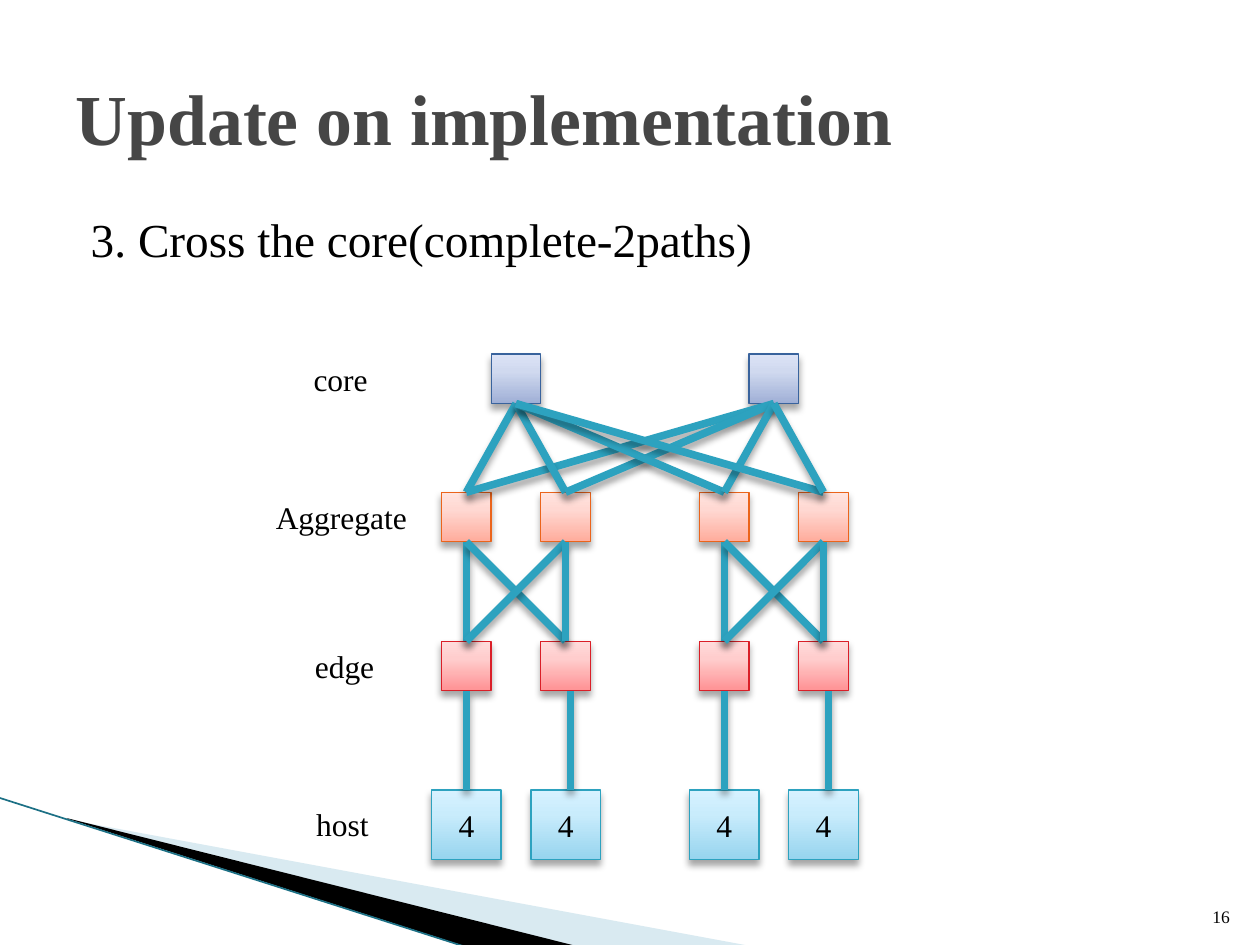
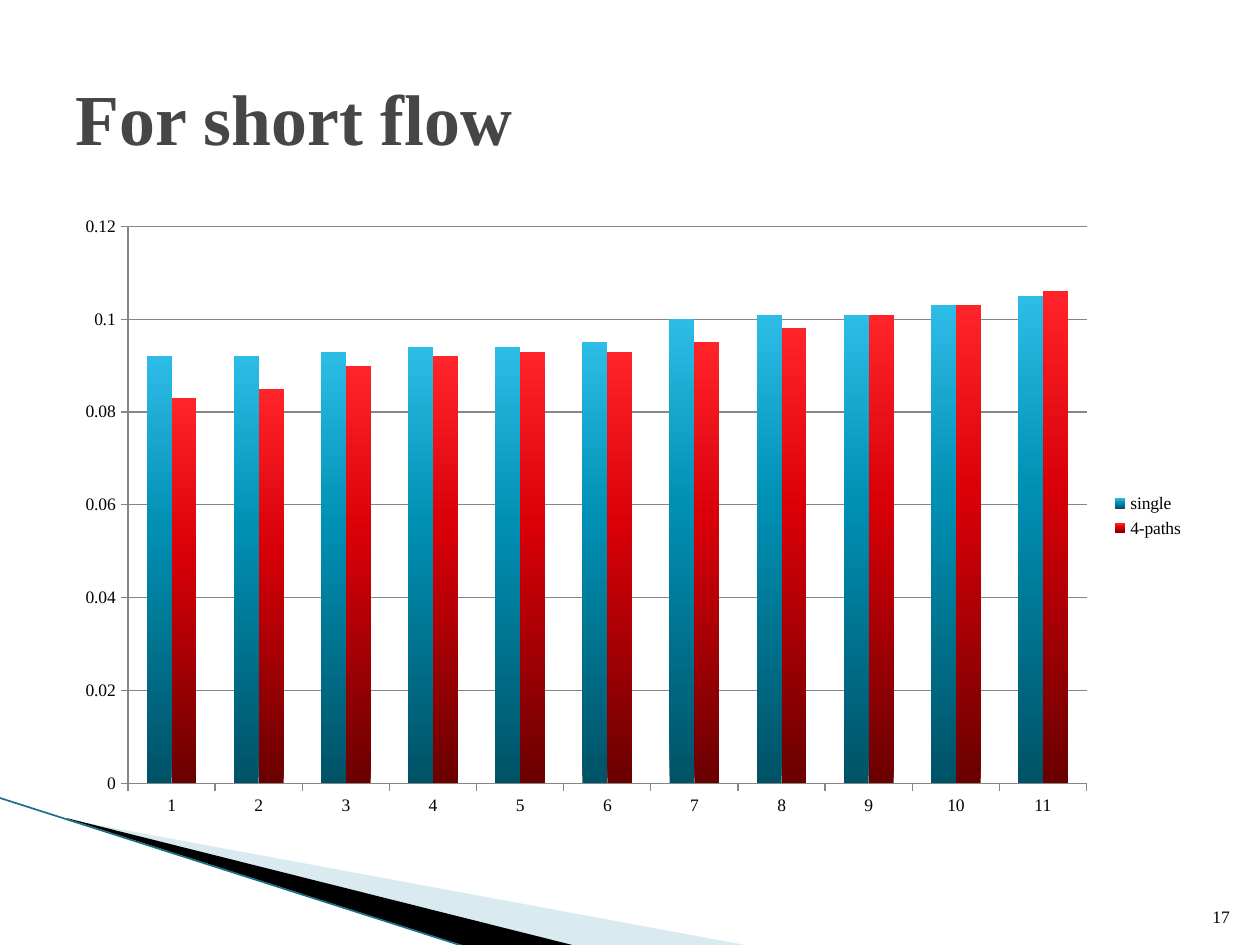
from copy import deepcopy
from itertools import product

from lxml import etree
from pptx import Presentation
from pptx import util as u
from pptx.chart import data as chart_data
from pptx.dml import color
from pptx.enum import chart as chart_enum
from pptx.enum import shapes, text
from pptx.oxml import ns

FONT = "Times New Roman"
BLACK, TITLE_GRAY, GRID_GRAY, TEAL = "000000", "464646", "868686", "2DA2BF"
STRIPE_BLUE, STRIPE_EDGE = "A0CBDC", "1C7085"
STOPS = (0, 0.65, 1)
TITLE_BOX = (36, 21.6, 648, 90)
CONTENT_BOX = (36, 116.64, 648, 356.4)


def rgb(value):
    return color.RGBColor.from_string(value)


def points(*values):
    return [u.Pt(value) for value in values]


def place(shape, box):
    shape.left, shape.top, shape.width, shape.height = points(*box)


def child(parent, tag, **attributes):
    return etree.SubElement(parent, ns.qn(tag), {k: str(v) for k, v in attributes.items()})


def write(shape, content, size=18, ink=BLACK, bold=False, align=text.PP_ALIGN.LEFT,
          anchor=text.MSO_ANCHOR.TOP, wrap=True, fit=text.MSO_AUTO_SIZE.NONE, indent=None):
    frame = shape.text_frame
    frame.text = content
    frame.word_wrap = wrap
    frame.auto_size = fit
    frame.vertical_anchor = anchor
    paragraph = frame.paragraphs[0]
    if indent is not None:
        properties = paragraph._p.get_or_add_pPr()
        properties.set("marL", str(u.Pt(indent)))
        properties.set("indent", "0")
        child(properties, "a:buNone")
    paragraph.alignment = align
    paragraph.space_before = u.Pt(0)
    font = paragraph.runs[0].font
    font.name, font.size, font.bold = FONT, u.Pt(size), bold
    font.color.rgb = rgb(ink)


def shade(fill, colors, positions=STOPS):
    fill.gradient()
    fill.gradient_angle = 90
    first = fill.gradient_stops[0]._gs
    first.addnext(deepcopy(first))
    for stop, position, value in zip(fill.gradient_stops, positions, colors):
        stop.position = position
        stop.color.rgb = rgb(value)


def set_effects(shape, shadow):
    effects = child(shape._element.spPr, "a:effectLst")
    if shadow:
        outer = child(effects, "a:outerShdw", blurRad=u.Pt(4), dist=u.Pt(3),
                      dir=5400000, rotWithShape=0)
        child(child(outer, "a:srgbClr", val=BLACK), "a:alpha", val=35000)


class Deck:
    def __init__(self):
        self.presentation = Presentation()
        self.presentation.slide_width, self.presentation.slide_height = points(720, 540)
        self.slide = None

    def start(self, title, number, layout):
        self.slide = self.presentation.slides.add_slide(self.presentation.slide_layouts[layout])
        place(self.slide.shapes.title, TITLE_BOX)
        write(self.slide.shapes.title, title, size=41, ink=TITLE_GRAY, bold=True,
              anchor=text.MSO_ANCHOR.MIDDLE)
        self.outline([(39.6, 468.5), (428.4, 540.5), (328.3, 540.5), (39.6, 468)], STRIPE_BLUE, 40)
        self.outline([(38.2, 467.5), (329, 540.5), (268, 541.4), (38.9, 468)], BLACK)
        self.line((-0.7, 455.8), (267.1, 541.4), STRIPE_EDGE, 0.95, shadow=False)
        self.text((681.1, 504.7, 28.8, 28.8), str(number), size=10,
                  align=text.PP_ALIGN.RIGHT, anchor=text.MSO_ANCHOR.BOTTOM)

    def body(self, content):
        placeholder = self.slide.placeholders[1]
        place(placeholder, CONTENT_BOX)
        write(placeholder, content, size=27, indent=8.64)

    def text(self, box, content, **style):
        write(self.slide.shapes.add_textbox(*points(*box)), content, **style)

    def label(self, box, content):
        self.text(box, content, wrap=False, fit=text.MSO_AUTO_SIZE.SHAPE_TO_FIT_TEXT)

    def outline(self, corners, fill, opacity=100):
        start, *rest = [points(*corner) for corner in corners]
        builder = self.slide.shapes.build_freeform(*start)
        builder.add_line_segments(rest)
        shape = builder.convert_to_shape()
        shape.shadow.inherit = False
        shape.line.fill.background()
        shape.fill.solid()
        shape.fill.fore_color.rgb = rgb(fill)
        if opacity < 100:
            value = shape._element.spPr.find(".//" + ns.qn("a:srgbClr"))
            child(value, "a:alpha", val=opacity * 1000)

    def line(self, start, end, ink=TEAL, width=4.33, shadow=True):
        connector = self.slide.shapes.add_connector(
            shapes.MSO_CONNECTOR.STRAIGHT, *points(*start, *end))
        connector.line.color.rgb = rgb(ink)
        connector.line.width = u.Pt(width)
        set_effects(connector, shadow)

    def node(self, center, top, size, colors, edge, content=""):
        shape = self.slide.shapes.add_shape(
            shapes.MSO_SHAPE.RECTANGLE, *points(center - size / 2, top, size, size))
        shade(shape.fill, colors)
        shape.line.color.rgb = rgb(edge)
        shape.line.width = u.Pt(0.75)
        set_effects(shape, True)
        if content:
            write(shape, content, align=text.PP_ALIGN.CENTER, anchor=text.MSO_ANCHOR.MIDDLE)

    def column_chart(self, box, categories, series_styles):
        data = chart_data.CategoryChartData()
        data.categories = categories
        for name, values, _ in series_styles:
            data.add_series(name, values)
        chart = self.slide.shapes.add_chart(
            chart_enum.XL_CHART_TYPE.COLUMN_CLUSTERED, *points(*box), data).chart
        chart.font.name, chart.font.size = FONT, u.Pt(10)
        chart.font.color.rgb = rgb(BLACK)
        chart.has_title = False
        chart.has_legend = True
        chart.legend.position = chart_enum.XL_LEGEND_POSITION.RIGHT
        chart.legend.include_in_layout = False
        plot = chart.plots[0]
        plot.vary_by_categories = False
        plot.gap_width, plot.overlap = 150, 0
        for series, (_, _, colors) in zip(plot.series, series_styles):
            shade(series.format.fill, colors, (0, 0.6, 1))
        scale = chart.value_axis
        scale.minimum_scale, scale.maximum_scale, scale.major_unit = 0, 0.12, 0.02
        scale.has_major_gridlines = True
        for axis in (scale, chart.category_axis):
            axis.major_tick_mark = chart_enum.XL_TICK_MARK.OUTSIDE
        for ruled in (scale, chart.category_axis, scale.major_gridlines):
            ruled.format.line.color.rgb = rgb(GRID_GRAY)
            ruled.format.line.width = u.Pt(0.75)


def build_topology(deck):
    deck.start("Update on implementation", 16, layout=1)
    deck.body("3. Cross the core(complete-2paths)")

    switch, host = 28.35, 39.7
    column_gap, pod_gap = 56.7, 147.4
    pods = [[266.5 + pod * pod_gap + column * column_gap for column in range(2)]
            for pod in range(2)]
    columns = pods[0] + pods[1]
    cores = [sum(pod) / 2 for pod in pods]
    core_top, aggregate_top, edge_top, host_top = 202.3, 281.3, 366.4, 451.4

    layers = [
        (cores, core_top, switch, ("9FAFD6", "D0D9EF", "DCE3F6"), "39639D", ""),
        (columns, aggregate_top, switch, ("FFAC9C", "FFD8D2", "FFE4DF"), "EB641B", ""),
        (columns, edge_top, switch, ("FF9294", "FFCDCD", "FFDCDC"), "DA1F28", ""),
        (columns, host_top, host, ("96D4EE", "C9ECFC", "D7F2FF"), TEAL, "4"),
    ]
    for centers, *style in layers:
        for center in centers:
            deck.node(center, *style)

    for left, top, width, name in [(172.1, core_top, 46.1, "core"),
                                   (150.5, aggregate_top, 90, "Aggregate"),
                                   (172.8, edge_top, 49, "edge"),
                                   (173.5, 456.5, 44.6, "host")]:
        deck.label((left, top, width, 28.8), name)

    for pod in pods:
        for center, shift in zip(pod, (0, 2.85)):
            deck.line((center + shift, host_top), (center + shift, edge_top + switch))
        for upper, lower in product(pod, pod):
            deck.line((upper, aggregate_top + switch), (lower, edge_top))
    for center, core in product(columns, cores):
        deck.line((center, aggregate_top), (core, core_top + switch))


def build_short_flow(deck):
    deck.start("For short flow", 17, layout=5)
    single = (0.092, 0.092, 0.093, 0.094, 0.094, 0.095, 0.1, 0.101, 0.101, 0.103, 0.105)
    four_paths = (0.083, 0.085, 0.09, 0.092, 0.093, 0.093, 0.095, 0.098, 0.101, 0.103, 0.106)
    deck.column_chart(CONTENT_BOX, [str(number) for number in range(1, 12)], [
        ("single", single, ("005266", "0090B4", "2DBCE6")),
        ("4-paths", four_paths, ("6A0000", "D90008", "FF2429")),
    ])


def main():
    deck = Deck()
    build_topology(deck)
    build_short_flow(deck)
    deck.presentation.save("out.pptx")


if __name__ == "__main__":
    main()
